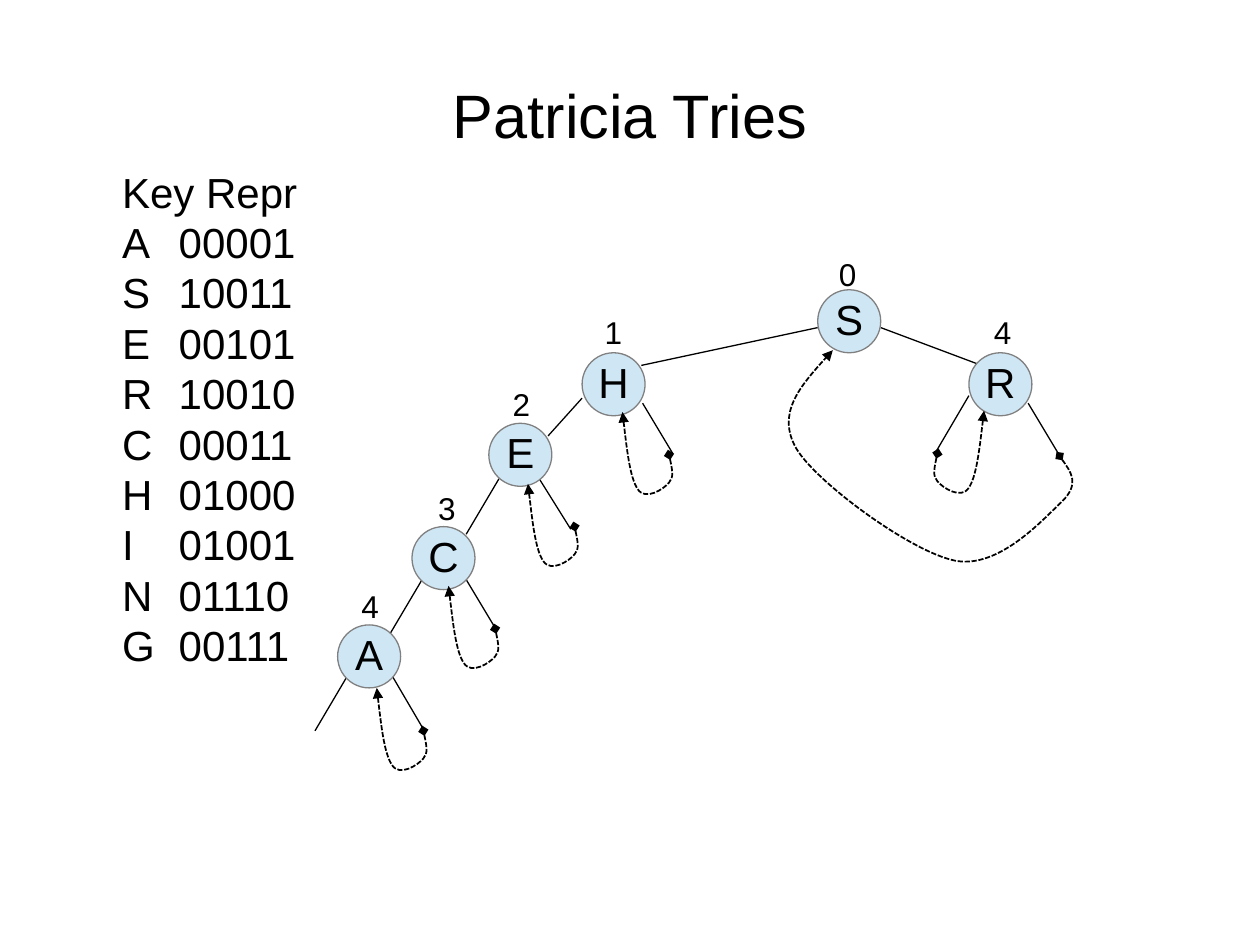
"""Build the Patricia Tries slide with its key list and search tree."""
from lxml import etree
from pptx import Presentation
from pptx import util as u
from pptx.dml import color
from pptx.enum import dml, shapes, text
from pptx.oxml import ns

BLACK = color.RGBColor(0x00, 0x00, 0x00)
GRAY = color.RGBColor(0x80, 0x80, 0x80)
PALE_BLUE = color.RGBColor(0xCF, 0xE7, 0xF5)
LEFT, CENTER = text.PP_ALIGN.LEFT, text.PP_ALIGN.CENTER


def write(para, words, size, align=LEFT, spacing=0.93):
    para.alignment = align
    para.line_spacing = spacing
    span = para.add_run()
    span.text = words
    span.font.name = "Arial"
    span.font.size = u.Pt(size)
    span.font.color.rgb = BLACK


def draw_pointer(points):
    corners = [(u.Inches(x), u.Inches(y)) for x, y in points]
    builder = page.shapes.build_freeform(*corners[0])
    builder.add_line_segments(corners[1:], close=False)
    pointer = builder.convert_to_shape()
    pointer.shadow.inherit = False
    pointer.fill.background()
    pointer.line.color.rgb = BLACK
    pointer.line.width = u.Pt(1)
    pointer.line.dash_style = dml.MSO_LINE.SQUARE_DOT
    stroke = pointer.element.spPr.find(ns.qn("a:ln"))
    etree.SubElement(stroke, ns.qn("a:headEnd"), type="diamond")
    etree.SubElement(stroke, ns.qn("a:tailEnd"), type="triangle")
    route = pointer.element.find(".//" + ns.qn("a:path"))
    segments = route.findall(ns.qn("a:lnTo"))
    for first in range(0, len(segments), 3):
        curve = etree.SubElement(route, ns.qn("a:cubicBezTo"))
        for segment in segments[first:first + 3]:
            curve.append(segment[0])
            route.remove(segment)


deck = Presentation()
deck.slide_width, deck.slide_height = u.Inches(10), u.Inches(7.5)
page = deck.slides.add_slide(deck.slide_layouts[6])

title = page.shapes.add_textbox(u.Inches(0.75), u.Inches(0.52), u.Inches(8.5), u.Inches(0.83))
title.text_frame.word_wrap = True
title.text_frame.vertical_anchor = text.MSO_ANCHOR.MIDDLE
write(title.text_frame.paragraphs[0], "Patricia Tries", 35, CENTER)

rows = ["Key Repr", "A\t00001", "S\t10011", "E\t00101", "R\t10010",
        "C\t00011", "H\t01000", "I\t01001", "N\t01110", "G\t00111"]
keys = page.shapes.add_textbox(u.Inches(0.82), u.Inches(1.27), u.Inches(2.09), u.Inches(4.1))
keys.text_frame.word_wrap = True
for number, row in enumerate(rows):
    para = keys.text_frame.add_paragraph() if number else keys.text_frame.paragraphs[0]
    layout = para._p.get_or_add_pPr()
    layout.set("marL", str(u.Inches(0.5)))
    layout.set("indent", str(u.Inches(-0.45)))
    write(para, row, 24, spacing=u.Pt(28.8))

edges = [
    (6.99, 2.6, 7.79, 2.9), (5.09, 2.9, 6.49, 2.6), (7.42, 3.6, 7.69, 3.14),
    (4.35, 3.46, 4.62, 3.16), (3.09, 5.04, 3.35, 4.6), (4.53, 4.2, 4.28, 3.8),
    (3.7, 4.24, 3.96, 3.8), (5.34, 3.6, 5.1, 3.2), (8.4, 3.6, 8.16, 3.2),
    (3.94, 5, 3.7, 4.6), (2.5, 5.8, 2.76, 5.36), (3.35, 5.77, 3.11, 5.36),
]
for ends in edges:
    edge = page.shapes.add_connector(shapes.MSO_CONNECTOR.STRAIGHT, *map(u.Inches, ends))
    edge.line.color.rgb = BLACK
    edge.line.width = u.Pt(0.75)
    etree.SubElement(edge.element.spPr, ns.qn("a:effectLst"))

nodes = [
    ("S", 6.49, 2.3, "0", 6.56, 2), ("R", 7.69, 2.8, "4", 7.79, 2.46),
    ("H", 4.62, 2.8, "1", 4.7, 2.46), ("E", 3.88, 3.36, "2", 3.97, 3.03),
    ("C", 3.27, 4.18, "3", 3.38, 3.86), ("A", 2.68, 4.96, "4", 2.77, 4.64),
]
for key, left, top, bit, bit_left, bit_top in nodes:
    node = page.shapes.add_shape(shapes.MSO_SHAPE.OVAL, u.Inches(left), u.Inches(top),
                                 u.Inches(0.5), u.Inches(0.5))
    node.shadow.inherit = False
    node.fill.solid()
    node.fill.fore_color.rgb = PALE_BLUE
    node.line.color.rgb = GRAY
    node.line.width = u.Pt(0.75)
    node.text_frame.word_wrap = False
    node.text_frame.vertical_anchor = text.MSO_ANCHOR.MIDDLE
    write(node.text_frame.paragraphs[0], key, 24, CENTER)
    box = page.shapes.add_textbox(u.Inches(bit_left), u.Inches(bit_top),
                                  u.Inches(0.34), u.Inches(0.38))
    box.text_frame.word_wrap = False
    write(box.text_frame.paragraphs[0], bit, 18)

loop = [(0, 0), (0.02, 0.09), (0.04, 0.18), (0, 0.22), (-0.04, 0.27), (-0.19, 0.37),
        (-0.25, 0.27), (-0.31, 0.18), (-0.34, -0.08), (-0.37, -0.34)]
starts = [(3.36, 5.8, 1), (3.93, 4.99, 1), (4.56, 4.18, 1), (5.31, 3.61, 1), (7.44, 3.6, -1)]
for x, y, side in starts:
    draw_pointer([(x + side * across, y + down) for across, down in loop])
draw_pointer([(8.41, 3.62), (8.49, 3.73), (8.57, 3.84), (8.43, 3.98), (8.29, 4.11),
              (7.93, 4.52), (7.58, 4.45), (7.23, 4.38), (6.48, 3.83), (6.32, 3.56),
              (6.16, 3.28), (6.38, 3.03), (6.61, 2.78)])

deck.save("out.pptx")
